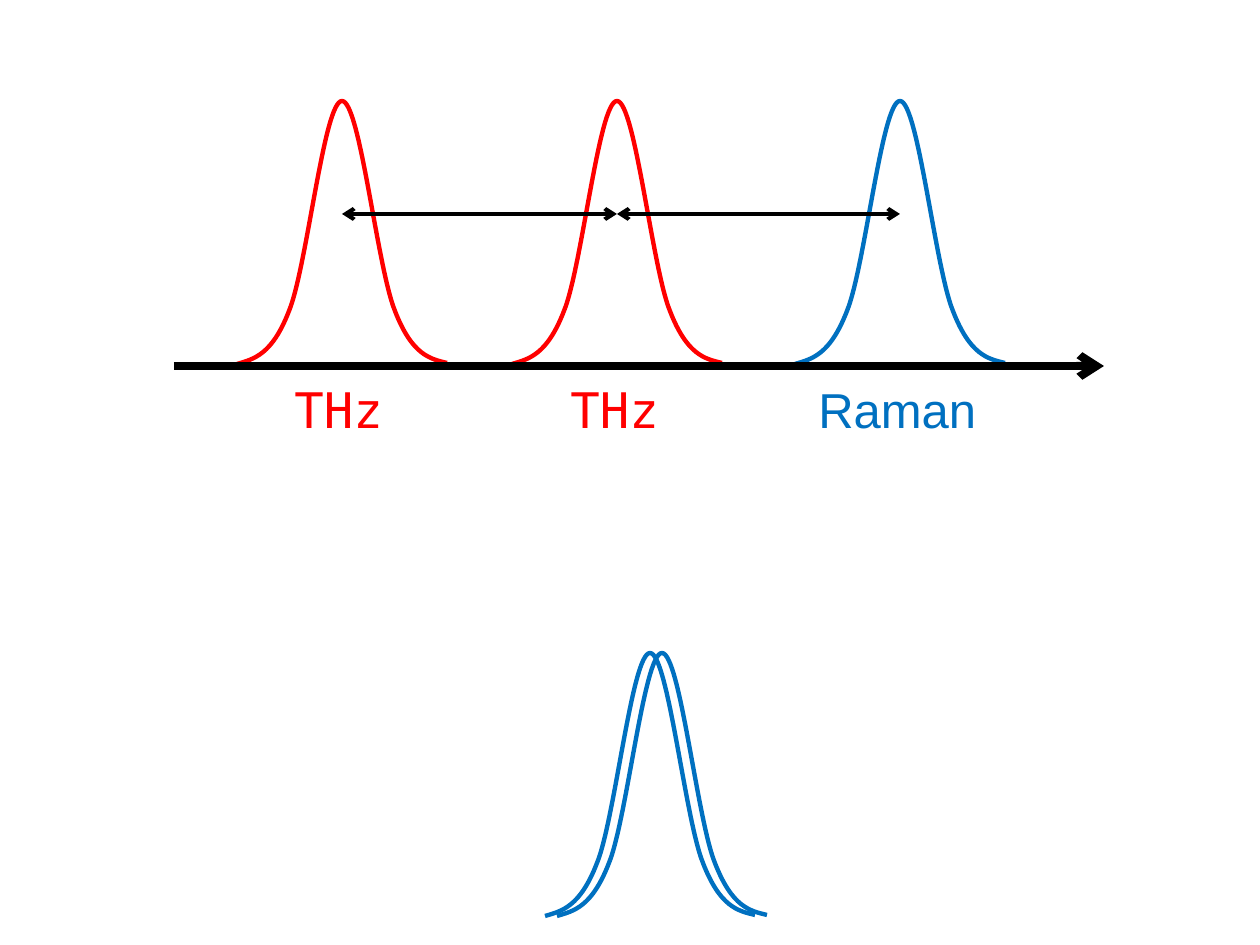
from lxml.etree import SubElement
from pptx import Presentation
from pptx.dml.color import RGBColor
from pptx.enum.shapes import MSO_CONNECTOR
from pptx.oxml.ns import qn
from pptx.util import Pt

SCALE = 914400 / 126
COLORS = {"red": "FF0000", "blue": "0070C0", "black": "000000"}

UPPER_BASE, LOWER_BASE = 364, 916
PEAKS = [
    (342, UPPER_BASE, "red"),
    (617, UPPER_BASE, "red"),
    (900, UPPER_BASE, "blue"),
    (650, LOWER_BASE, "blue"),
    (662, LOWER_BASE, "blue"),
]
BELL = [
    (-105, 0), (-88, -5), (-70, -9), (-53, -53), (-35, -97), (-18, -263),
    (0, -263), (18, -263), (35, -97), (53, -53), (70, -9), (88, -5), (105, -1),
]
LABELS = [
    ("Raman", 806, 186, "Arial", "blue"),
    ("THz", 282, 118, "DejaVu Sans Mono", "red"),
    ("THz", 558, 118, "DejaVu Sans Mono", "red"),
]
AXIS = (174, 1104, 366)
SPACINGS = [(342, 617, 214), (617, 900, 214)]


def px(n):
    return round(n * SCALE)


def rgb(name):
    return RGBColor.from_string(COLORS[name])


def add_peak(s, apex, base, color):
    points = [(apex + dx, base + dy) for dx, dy in BELL]
    builder = s.shapes.build_freeform(*points[0], scale=SCALE)
    builder.add_line_segments(points[1:], close=False)
    sp = builder.convert_to_shape()
    path = next(sp._element.iter(qn("a:path")))
    segments = path.findall(qn("a:lnTo"))
    for i in range(0, len(segments), 3):
        curve = SubElement(path, qn("a:cubicBezTo"))
        for segment in segments[i:i + 3]:
            curve.append(segment[0])
            path.remove(segment)
    sp.fill.background()
    sp.line.color.rgb = rgb(color)
    sp.line.width = Pt(2.5)
    sp.shadow.inherit = False


def add_arrow(s, x1, x2, y, width, ends):
    c = s.shapes.add_connector(MSO_CONNECTOR.STRAIGHT, px(x1), px(y), px(x2), px(y))
    c.line.color.rgb = rgb("black")
    c.line.width = Pt(width)
    ln = c.line._get_or_add_ln()
    for end in ends:
        SubElement(ln, qn(f"a:{end}"), type="arrow")
    SubElement(c._element.spPr, qn("a:effectLst"))


def add_text(s, text, *, left, top, width, height, font, color, size):
    tf = s.shapes.add_textbox(px(left), px(top), px(width), px(height)).text_frame
    tf.word_wrap = True
    tf.margin_top = px(9)
    r = tf.paragraphs[0].add_run()
    r.text = text
    r.font.name = font
    r.font.size = Pt(size)
    r.font.color.rgb = rgb(color)


def main():
    """Build the slide of THz and Raman peaks along an axis."""
    prs = Presentation()
    prs.slide_width, prs.slide_height = px(1260), px(945)
    s = prs.slides.add_slide(prs.slide_layouts[6])
    for peak in PEAKS:
        add_peak(s, *peak)
    add_arrow(s, *AXIS, width=4.5, ends=["tailEnd"])
    for text, left, width, font, color in LABELS:
        add_text(s, text, left=left, top=370, width=width, height=72,
                 font=font, color=color, size=28)
    for spacing in SPACINGS:
        add_arrow(s, *spacing, width=2.25, ends=["headEnd", "tailEnd"])
    prs.save("out.pptx")


if __name__ == "__main__":
    main()
